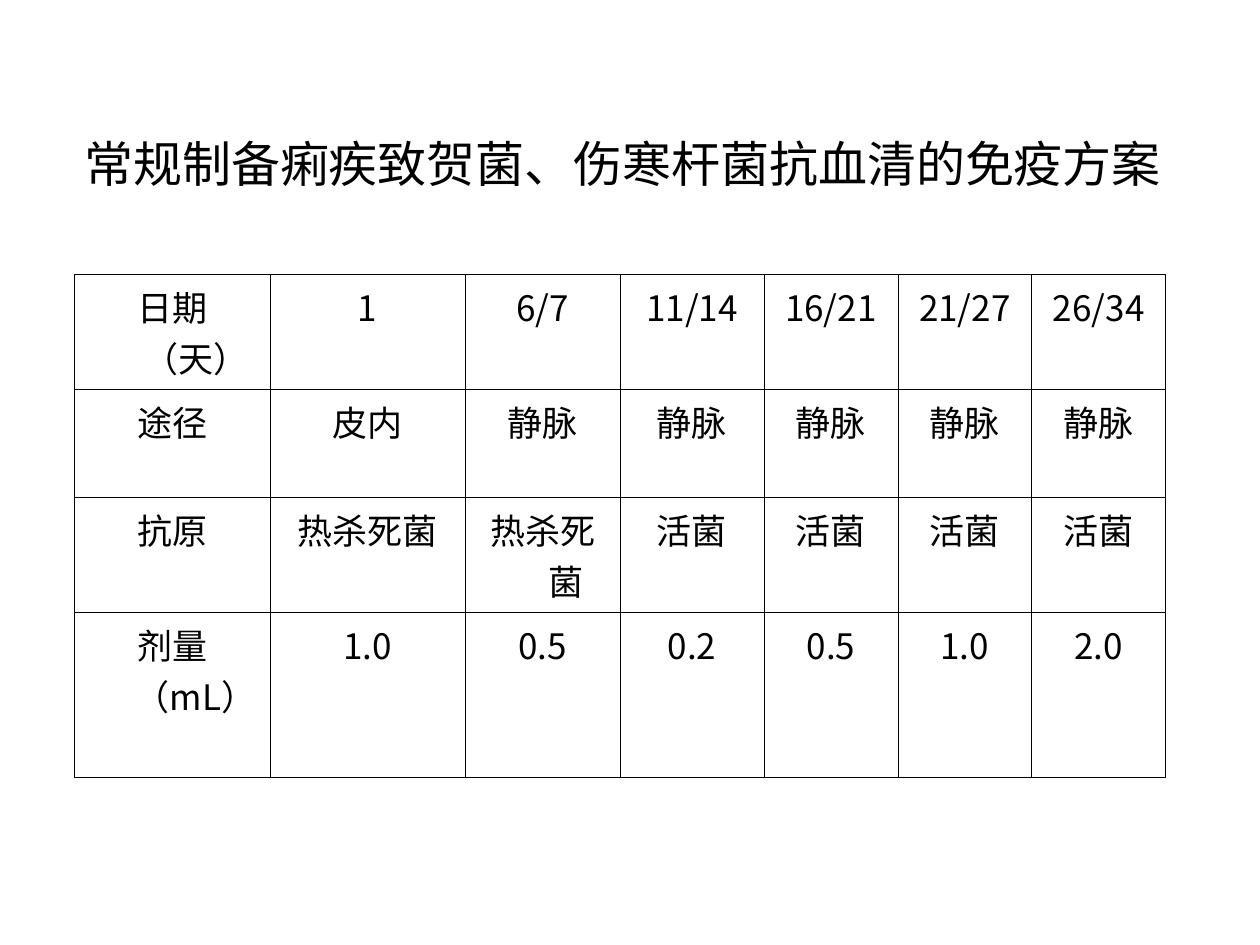
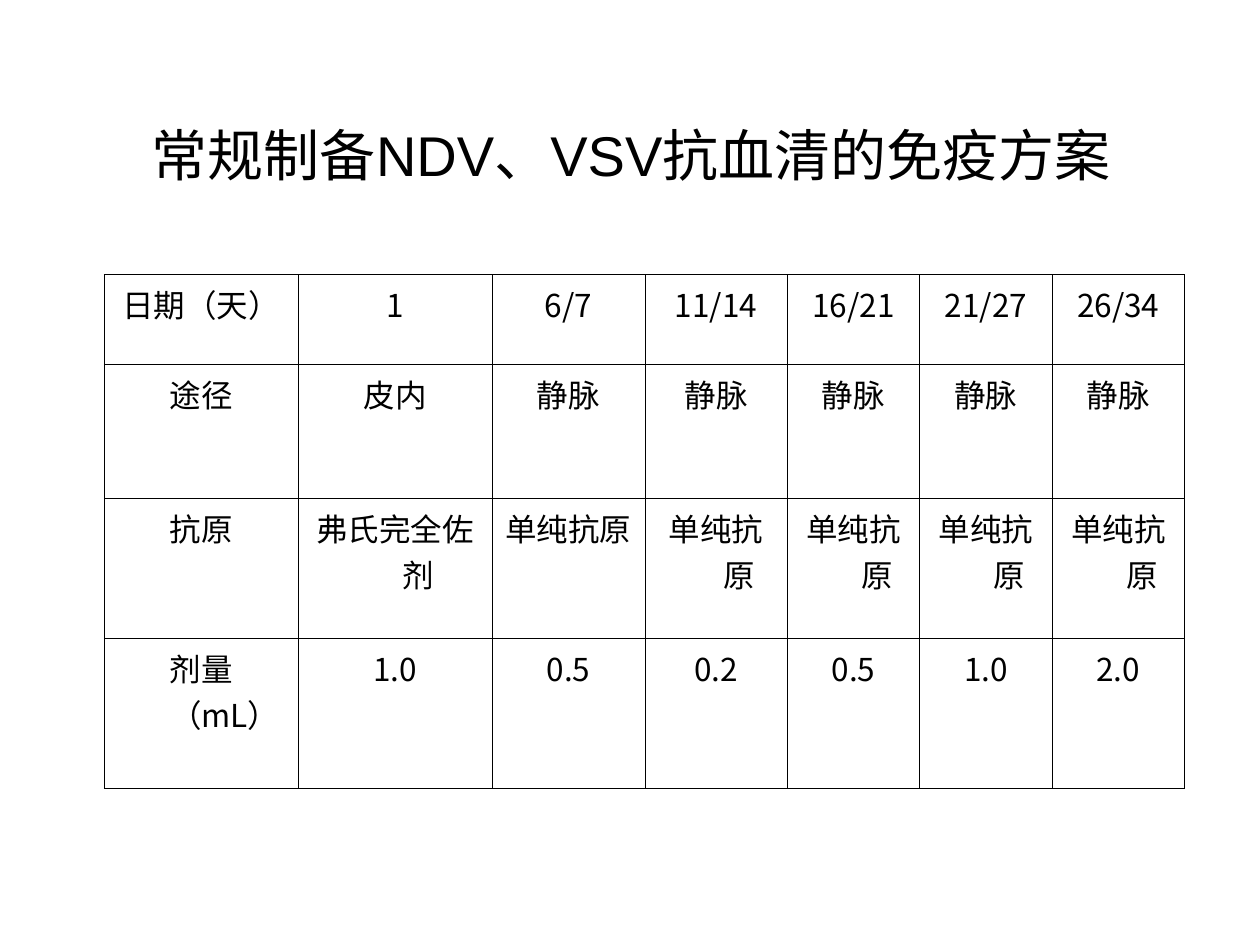
from lxml.etree import SubElement
from pptx import Presentation
from pptx.dml.color import RGBColor
from pptx.enum.text import MSO_ANCHOR, MSO_AUTO_SIZE, PP_ALIGN
from pptx.oxml.ns import qn
from pptx.util import Cm, Pt

# Shared look
BLACK, WHITE = "000000", "FFFFFF"
TITLE_FONT, CJK_FONT = "Arial", "Noto Sans CJK SC"
TITLE_BOX = (1.3, 1.52, 22.86, 3.18)
TABLE_TOP = 5.54
HANGING_INDENT = 0.95
BORDER_WIDTH = 0.45

# Rows common to both immunisation plans
DAYS = ["日期（天）", "1", "6/7", "11/14", "16/21", "21/27", "26/34"]
ROUTES = ["途径", "皮内"] + ["静脉"] * 5
DOSES = ["剂量（mL）", "1.0", "0.5", "0.2", "0.5", "1.0", "2.0"]


def color(hex_value):
    return RGBColor.from_string(hex_value)


def format_paragraph(paragraph, font_name, size):
    paragraph.alignment = PP_ALIGN.CENTER
    font = paragraph.font
    font.name = font_name
    font.size = Pt(size)
    font.color.rgb = color(BLACK)
    defaults = paragraph._p.get_or_add_pPr().find(qn("a:defRPr"))
    SubElement(defaults, qn("a:ea")).set("typeface", CJK_FONT)


def set_borders(cell):
    properties = cell._tc.get_or_add_tcPr()
    for side in ("lnL", "lnR", "lnT", "lnB"):
        line = SubElement(properties, qn(f"a:{side}"), w=str(Pt(BORDER_WIDTH)))
        fill = SubElement(line, qn("a:solidFill"))
        SubElement(fill, qn("a:srgbClr"), val=BLACK)


def set_title(slide, box, text, size, offset):
    """Place the title; offset widens the top and right insets."""
    title = slide.shapes.title
    title.left, title.top, title.width, title.height = map(Cm, box)
    frame = title.text_frame
    frame.word_wrap = True
    frame.auto_size = MSO_AUTO_SIZE.NONE
    frame.vertical_anchor = MSO_ANCHOR.MIDDLE
    frame.margin_left, frame.margin_bottom = Cm(0.25), Cm(0.13)
    frame.margin_top, frame.margin_right = Cm(0.13 + offset), Cm(0.25 + offset)
    frame.text = text
    format_paragraph(frame.paragraphs[0], TITLE_FONT, size)


def fill_cell(cell, text, size):
    cell.margin_left = cell.margin_right = Cm(0.25)
    cell.margin_top = cell.margin_bottom = Cm(0.13)
    cell.text = text
    paragraph = cell.text_frame.paragraphs[0]
    indents = paragraph._p.get_or_add_pPr()
    indents.set("marL", str(Cm(HANGING_INDENT)))
    indents.set("indent", str(-Cm(HANGING_INDENT)))
    format_paragraph(paragraph, CJK_FONT, size)
    set_borders(cell)
    cell.fill.solid()
    cell.fill.fore_color.rgb = color(WHITE)


def add_plan_table(slide, left, top, widths, heights, rows, size):
    table = slide.shapes.add_table(
        len(rows), len(widths), Cm(left), Cm(top), Cm(sum(widths)), Cm(sum(heights))
    ).table
    table.first_row = table.horz_banding = False
    for column, width in zip(table.columns, widths):
        column.width = Cm(width)
    for row, height, texts in zip(table.rows, heights, rows):
        row.height = Cm(height)
        for cell, text in zip(row.cells, texts):
            fill_cell(cell, text, size)


def add_plan_slide(presentation, title, title_size, title_offset, antigens,
                   left, widths, heights, text_size):
    slide = presentation.slides.add_slide(presentation.slide_layouts[5])
    set_title(slide, TITLE_BOX, title, title_size, title_offset)
    rows = [DAYS, ROUTES, ["抗原"] + antigens, DOSES]
    add_plan_table(slide, left, TABLE_TOP, widths, heights, rows, text_size)


def main():
    presentation = Presentation()
    presentation.slide_width, presentation.slide_height = Cm(25.4), Cm(19.05)

    # Bacterial antisera
    add_plan_slide(
        presentation, "常规制备痢疾致贺菌、伤寒杆菌抗血清的免疫方案", 28, 0.36,
        ["热杀死菌"] * 2 + ["活菌"] * 4,
        left=1.5, widths=[3.94] * 2 + [3.12, 2.9] + [2.7] * 3,
        heights=[1.96, 2.18, 2.18, 1.96], text_size=20)

    # Viral antisera
    add_plan_slide(
        presentation, "常规制备NDV、VSV抗血清的免疫方案", 32, 0,
        ["弗氏完全佐剂"] + ["单纯抗原"] * 5,
        left=2.1, widths=[3.91] * 2 + [3.08, 2.87] + [2.67] * 3,
        heights=[1.8, 2.71, 2.82, 1.88], text_size=18)

    presentation.save("out.pptx")


if __name__ == "__main__":
    main()
